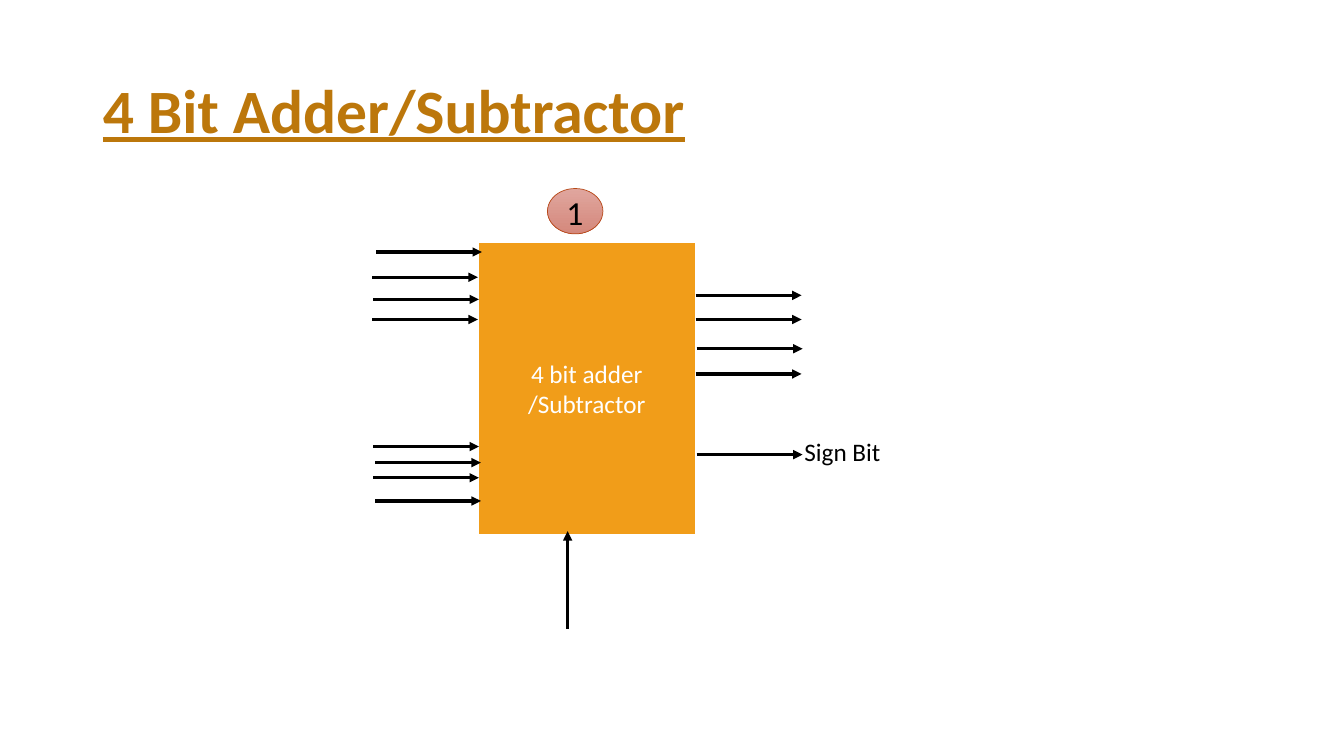
import dataclasses

import lxml.etree
import pptx
import pptx.dml.color
import pptx.enum.shapes
import pptx.enum.text
import pptx.oxml.ns
import pptx.util
from pptx.util import Inches


@dataclasses.dataclass(frozen=True)
class Theme:
    """Colours, font and type sizes of the slide."""
    font: str = "Calibri"
    title: str = "BC770B"
    block: str = "F19D19"
    white: str = "FFFFFF"
    ink: str = "000000"
    badge_top: str = "E0A69E"
    badge_bottom: str = "D4887C"
    badge_line: str = "B74919"
    title_size: int = 44
    badge_size: int = 24
    label_size: int = 18


THEME = Theme()
ARROW_LENGTH = 1.05
INPUTS = [(3.73, 2.5), (3.69, 2.75), (3.7, 2.97), (3.69, 3.17),
          (3.7, 4.43), (3.72, 4.59), (3.7, 4.74), (3.72, 4.97)]
OUTPUTS = [(6.9, 2.93), (6.9, 3.17), (6.91, 3.46), (6.9, 3.71), (6.91, 4.51)]


def rgb(value):
    """Turn a hex string into a colour."""
    return pptx.dml.color.RGBColor.from_string(value)


def add_span(para, text, size, color):
    """Add one formatted run to a paragraph."""
    span = para.add_run()
    span.text = text
    span.font.name = THEME.font
    span.font.size = pptx.util.Pt(size)
    span.font.color.rgb = rgb(color)
    return span


def set_title(page, text):
    """Place and format the title placeholder."""
    title = page.shapes.title
    title.left, title.top = Inches(0.92), Inches(0.4)
    title.width, title.height = Inches(11.5), Inches(1.45)
    title.text_frame.vertical_anchor = pptx.enum.text.MSO_ANCHOR.MIDDLE
    para = title.text_frame.paragraphs[0]
    para.alignment = pptx.enum.text.PP_ALIGN.LEFT
    para.line_spacing = 0.9
    span = add_span(para, text, THEME.title_size, THEME.title)
    span.font.bold = True
    span.font.underline = True


def add_outlined(shapes, kind, place, line_color, line_width):
    """Add a preset shape with an outline and no shadow."""
    shape = shapes.add_shape(kind, *map(Inches, place))
    shape.shadow.inherit = False
    shape.line.color.rgb = rgb(line_color)
    shape.line.width = pptx.util.Pt(line_width)
    return shape


def add_block(shapes, place, lines):
    """Add the filled circuit block with centred lines of text."""
    block = add_outlined(shapes, pptx.enum.shapes.MSO_SHAPE.RECTANGLE,
                         place, THEME.white, 1.5)
    block.fill.solid()
    block.fill.fore_color.rgb = rgb(THEME.block)
    frame = block.text_frame
    frame.vertical_anchor = pptx.enum.text.MSO_ANCHOR.MIDDLE
    for index, text in enumerate(lines):
        para = frame.add_paragraph() if index else frame.paragraphs[0]
        para.alignment = pptx.enum.text.PP_ALIGN.CENTER
        add_span(para, text, THEME.label_size, THEME.white)


def add_arrow(shapes, start, end):
    """Add a straight arrow from start to end."""
    arrow = shapes.add_connector(pptx.enum.shapes.MSO_CONNECTOR.STRAIGHT,
                                 *map(Inches, start + end))
    arrow.line.color.rgb = rgb(THEME.ink)
    arrow.line.width = pptx.util.Pt(2.25)
    qn = pptx.oxml.ns.qn
    lxml.etree.SubElement(arrow.line._get_or_add_ln(), qn("a:tailEnd"), type="triangle")
    lxml.etree.SubElement(arrow._element.spPr, qn("a:effectLst"))


def add_label(shapes, place, text, size, wrap):
    """Add a text box with one line of text."""
    box = shapes.add_textbox(*map(Inches, place))
    box.text_frame.word_wrap = wrap
    box.text_frame.auto_size = pptx.enum.text.MSO_AUTO_SIZE.SHAPE_TO_FIT_TEXT
    add_span(box.text_frame.paragraphs[0], text, size, THEME.ink)


def add_badge(shapes, text):
    """Add the numbered gradient oval."""
    oval = add_outlined(shapes, pptx.enum.shapes.MSO_SHAPE.OVAL,
                        (5.43, 1.87, 0.55, 0.45), THEME.badge_line, 0.5)
    oval.fill.gradient()
    oval.fill.gradient_angle = 270
    for stop, color in zip(oval.fill.gradient_stops,
                           (THEME.badge_top, THEME.badge_bottom)):
        stop.color.rgb = rgb(color)
    add_label(shapes, (5.52, 1.85, 0.26, 0.51), text, THEME.badge_size, True)


def main():
    """Build the slide and save it."""
    deck = pptx.Presentation()
    deck.slide_width, deck.slide_height = Inches(13.33), Inches(7.5)
    page = deck.slides.add_slide(deck.slide_layouts.get_by_name("Title Only"))
    set_title(page, "4 Bit Adder/Subtractor")
    circuit = page.shapes.add_group_shape().shapes
    add_block(circuit, (4.74, 2.4, 2.16, 2.91), ["4 bit adder", "/Subtractor"])
    for left, top in INPUTS + OUTPUTS:
        add_arrow(circuit, (left, top), (left + ARROW_LENGTH, top))
    add_arrow(circuit, (5.63, 6.24), (5.63, 5.27))
    add_label(circuit, (7.88, 4.28, 1.26, 0.71), "Sign Bit", THEME.label_size, False)
    add_badge(page.shapes.add_group_shape().shapes, "1")
    deck.save("out.pptx")


if __name__ == "__main__":
    main()
